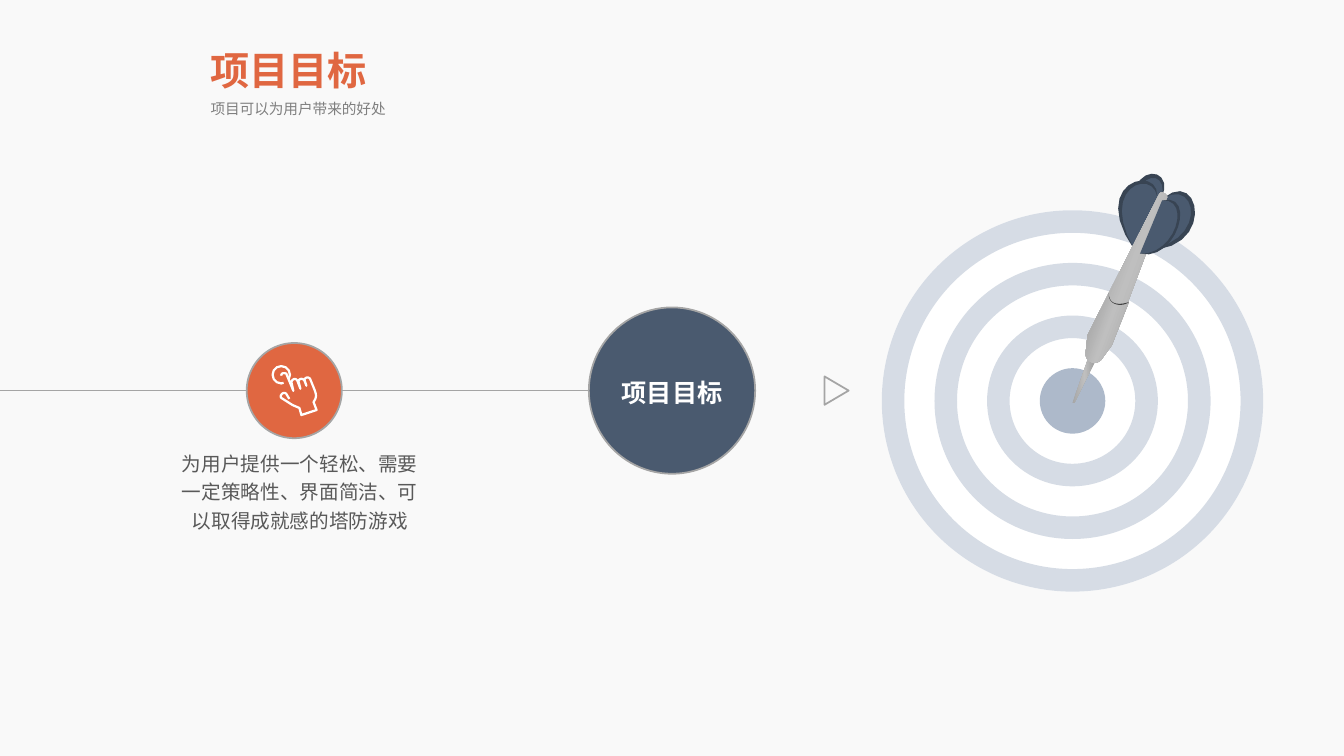
from copy import deepcopy

from pptx import Presentation
from pptx.dml.color import RGBColor
from pptx.enum.shapes import MSO_CONNECTOR, MSO_SHAPE
from pptx.enum.text import PP_ALIGN
from pptx.oxml.ns import qn
from pptx.util import Pt

STRAIGHT = MSO_CONNECTOR.STRAIGHT
OVAL, DONUT, TRIANGLE = MSO_SHAPE.OVAL, MSO_SHAPE.DONUT, MSO_SHAPE.ISOSCELES_TRIANGLE
LEFT, CENTER = PP_ALIGN.LEFT, PP_ALIGN.CENTER

COLORS = {
    "background": "F9F9F9", "white": "FFFFFF", "orange": "E06741", "navy": "4A5A6F",
    "rim": "384453", "outline": "A5A5A5", "shine": "BFBFBF", "subtitle": "7F7F7F",
    "body": "595959", "ring": "D6DCE5", "bullseye": "ADB9CA", "band": "404040",
}
UNIT = 0.72  # points per unit of the drawn outlines
CURVE_STEPS = 12

# Outlines: a pair is a straight step, six numbers are a Bézier curve.
HAND = [(10, 11), (10, 8, 13, 8, 15, 9), (22, 26), (20, 17), (22, 13, 25, 14, 26, 16),
        (29, 24), (27, 16), (29, 13, 32, 14, 33, 16), (35, 21), (33, 15),
        (34, 12, 38, 12, 39, 15), (43, 25), (45, 30, 45, 33, 42, 37), (45, 45), (30, 50),
        (28, 43), (21, 40), (10, 33), (8, 31, 12, 26, 15, 29), (18, 34)]
BACK_FINS = [[(92, 37), (107, 2, 44, 0, 70, 91)], [(94, 37), (131, 10, 143, 90, 72, 88)]]
LEFT_FIN = [(88, 35), (87, 5, 23, 23, 66, 89)]
RIGHT_FIN = [(93, 39), (125, 34, 107, 97, 71, 92)]
NEEDLE = [(28, 195), (6, 240), (4, 240), (21, 192)]
BARREL = [(43, 183), (32, 198), (26, 203, 17, 199, 17, 191), (19, 173), (40, 131), (60, 140)]
SHAFT = [(98, 36), (97, 31, 91, 30, 90, 33), (40, 131), (40, 142, 54, 144, 59, 140)]
BAND = [(40, 131), (40, 145, 54, 142, 60, 140), (54, 145, 39, 144, 40, 131)]


def rgb(name):
    return RGBColor.from_string(COLORS[name])


def paint(shape, fill=None, line=None, width=1.25):
    shape.shadow.inherit = False
    if fill:
        shape.fill.solid()
        shape.fill.fore_color.rgb = rgb(fill)
    else:
        shape.fill.background()
    if line:
        shape.line.color.rgb = rgb(line)
        shape.line.width = Pt(width)
    else:
        shape.line.fill.background()
    return shape


def add_preset(slide, kind, box, **look):
    return paint(slide.shapes.add_shape(kind, *map(Pt, box)), **look)


def add_circle(slide, center, radius, kind=OVAL, **look):
    x, y = center
    box = (x - radius, y - radius, 2 * radius, 2 * radius)
    return add_preset(slide, kind, box, **look)


def add_text(slide, text, box, size, color, bold=False, align=LEFT, spacing=1.0, font="Arial"):
    frame = slide.shapes.add_textbox(*map(Pt, box)).text_frame
    frame.word_wrap = True
    paragraph = frame.paragraphs[0]
    paragraph.alignment, paragraph.line_spacing = align, spacing
    run = paragraph.add_run()
    run.text = text
    run.font.name, run.font.size, run.font.bold = font, Pt(size), bold
    run.font.color.rgb = rgb(color)


def trace(outline):
    """Turn an outline into points, sampling its curves."""
    points = [outline[0]]
    for step in outline[1:]:
        if len(step) == 2:
            points.append(step)
            continue
        corners = [points[-1], step[:2], step[2:4], step[4:]]
        for i in range(1, CURVE_STEPS + 1):
            t = i / CURVE_STEPS
            weights = ((1 - t) ** 3, 3 * t * (1 - t) ** 2, 3 * t * t * (1 - t), t ** 3)
            points.append(tuple(sum(w * c[axis] for w, c in zip(weights, corners))
                                for axis in (0, 1)))
    return points


def add_outline(slide, origin, points, close=True, **look):
    start, *rest = [(Pt(x * UNIT), Pt(y * UNIT)) for x, y in points]
    builder = slide.shapes.build_freeform(*start, scale=1.0)
    builder.add_line_segments(rest, close=close)
    return paint(builder.convert_to_shape(*map(Pt, origin)), **look)


def bulge(fin, amount):
    """Push the curve of a fin outwards, or inwards if amount is negative."""
    (x0, y0), (x1, y1, x2, y2, x3, y3) = fin
    return [(x0, y0), (x1 + amount * (2 * x1 - x0 - x2), y1 + amount * (2 * y1 - y0 - y2),
                       x2 + amount * (2 * x2 - x3 - x1), y2 + amount * (2 * y2 - y3 - y1),
                       x3, y3)]


def add_fin(slide, origin, fin):
    add_outline(slide, origin, trace(fin), fill="navy")
    rim = trace(bulge(fin, 0.05)) + trace(bulge(fin, -0.05))[::-1]
    add_outline(slide, origin, rim, fill="rim")


def add_metal(slide, origin, outline, angle):
    fill = add_outline(slide, origin, trace(outline), fill="outline").fill
    fill.gradient()
    fill.gradient_angle = angle
    gradient = slide.shapes[-1]._element.spPr.find(qn("a:gradFill"))
    last = gradient.find(qn("a:gsLst"))[-1]
    last.addnext(deepcopy(last))
    looks = zip(fill.gradient_stops, (0, 0.5, 0.85), ("outline", "shine", "outline"))
    for stop, position, color in looks:
        stop.position = position
        stop.color.rgb = rgb(color)


def add_heading(slide, left, top):
    add_text(slide, "项目目标", (left, top, 151.2, 41), 28, "orange", bold=True)
    add_text(slide, "项目可以为用户带来的好处", (left, top + 36.7, 347, 21), 10.5, "subtitle",
             spacing=1.14, font="Noto Sans CJK SC")


def add_pointing_hand(slide, left, top):
    add_circle(slide, (left + 7.2, top + 7.2), 6.2, line="white", width=1.6)
    add_outline(slide, (left, top), trace(HAND), close=False,
                fill="orange", line="white", width=1.6)


def add_timeline(slide, middle):
    """Line from the slide edge through the benefit to the goal, then an arrowhead."""
    benefit, goal = (210.2, middle), (480, middle)
    line = slide.shapes.add_connector(STRAIGHT, 0, Pt(middle), Pt(goal[0]), Pt(middle))
    line.line.color.rgb = rgb("outline")
    line.line.width = Pt(1.25)
    properties = line._element.spPr
    properties.append(properties.makeelement(qn("a:effectLst"), {}))
    add_circle(slide, goal, 59.4, fill="navy", line="outline")
    add_circle(slide, benefit, 34, fill="orange", line="outline")
    add_pointing_hand(slide, benefit[0] - 16.5, middle - 18.5)
    add_text(slide, "为用户提供一个轻松、需要一定策略性、界面简洁、可以取得成就感的塔防游戏",
             (122.4, middle + 37, 183.6, 66.2), 14, "body", align=CENTER, spacing=1.2)
    add_text(slide, "项目目标", (goal[0] - 67, middle - 17, 134, 31), 18, "white",
             bold=True, align=CENTER, spacing=1.2)
    add_preset(slide, TRIANGLE, (587.5, middle - 8.6, 20.2, 17.2), line="outline").rotation = 90


def add_target(slide, center, radius):
    add_circle(slide, center, radius, fill="white")
    for ring in range(3):
        outer = radius - ring * 37.6
        donut = add_circle(slide, center, outer, DONUT, fill="ring")
        donut.adjustments[0] = 16.1 / (2 * outer)
    add_circle(slide, center, 23.4, fill="bullseye")


def add_dart(slide, tip):
    origin = (tip[0] - 2.9, tip[1] - 171.4)
    for fin in BACK_FINS:
        add_fin(slide, origin, fin)
    add_metal(slide, origin, NEEDLE, 0)
    add_fin(slide, origin, LEFT_FIN)
    add_metal(slide, origin, BARREL, 160)
    add_metal(slide, origin, SHAFT, 160)
    add_fin(slide, origin, RIGHT_FIN)
    add_outline(slide, origin, trace(BAND), fill="band")


def main():
    deck = Presentation()
    deck.slide_width, deck.slide_height = Pt(960), Pt(540)
    slide = deck.slides.add_slide(deck.slide_layouts[6])
    slide.background.fill.solid()
    slide.background.fill.fore_color.rgb = rgb("background")
    bullseye = (766.1, 286.4)
    add_heading(slide, 143.3, 29.5)
    add_timeline(slide, 279)
    add_target(slide, bullseye, 136.2)
    add_dart(slide, bullseye)
    deck.save("out.pptx")


if __name__ == "__main__":
    main()
